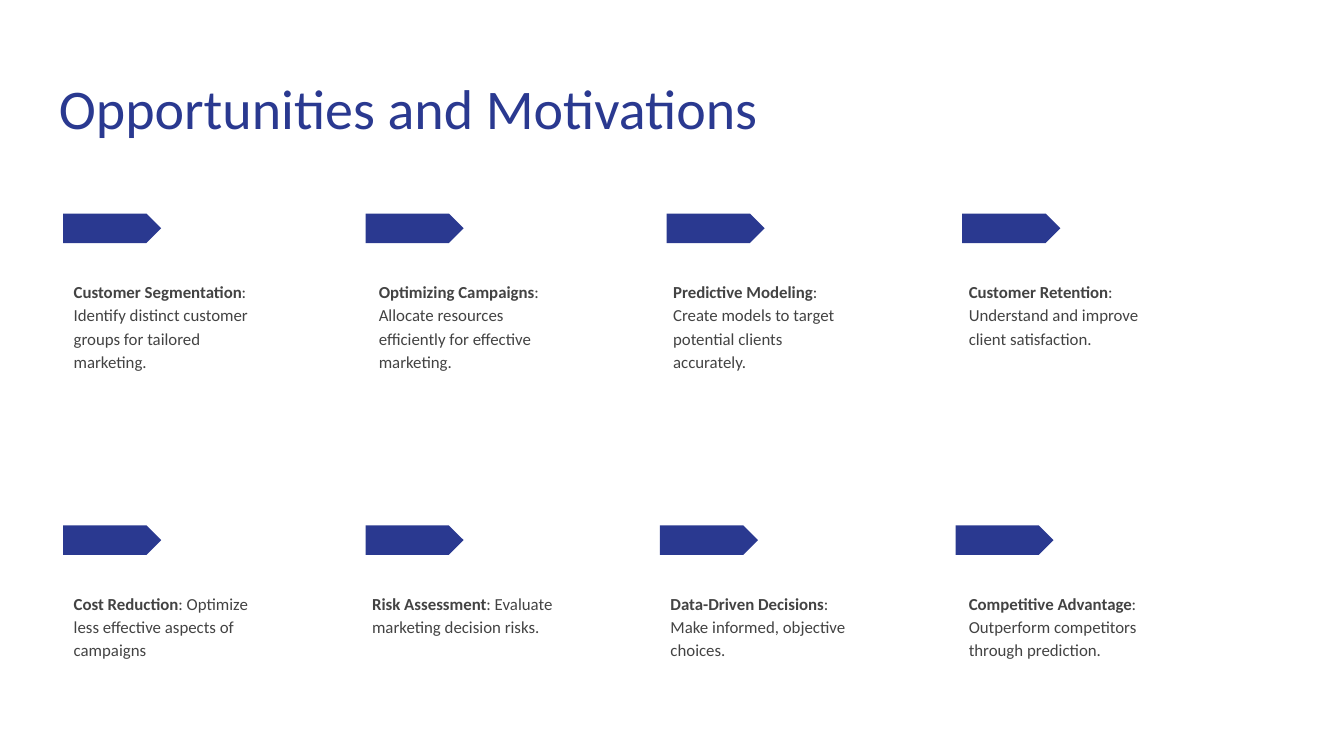
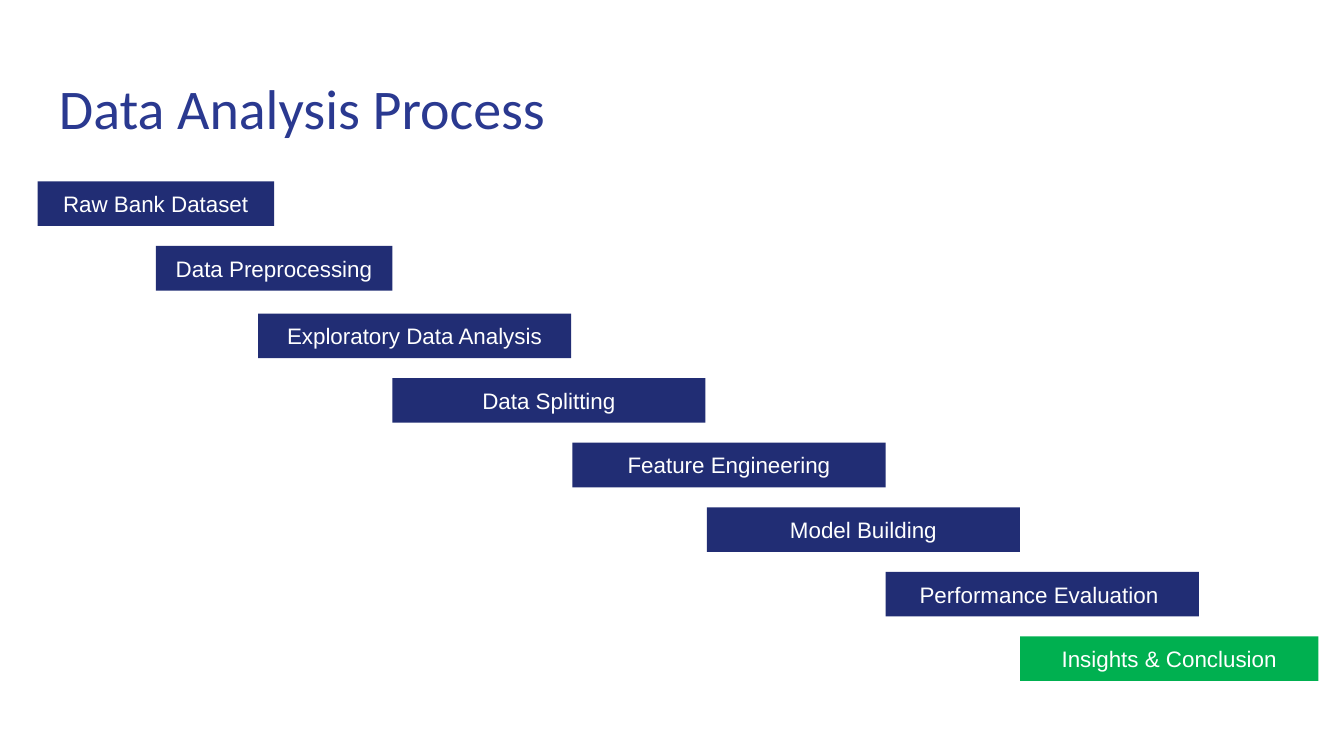
from dataclasses import dataclass

from pptx import Presentation
from pptx.dml.color import RGBColor
from pptx.enum.shapes import MSO_SHAPE
from pptx.enum.text import MSO_ANCHOR, PP_ALIGN
from pptx.shapes.autoshape import Shape
from pptx.slide import Slide
from pptx.text.text import TextFrame, _Paragraph
from pptx.util import Emu, Inches, Pt

PENTAGON = MSO_SHAPE.PENTAGON
RECTANGLE = MSO_SHAPE.RECTANGLE
MIDDLE = MSO_ANCHOR.MIDDLE
TOP = MSO_ANCHOR.TOP
CENTER = PP_ALIGN.CENTER

TITLE_BLUE = RGBColor(0x2A, 0x39, 0x90)
STEP_NAVY = RGBColor(0x21, 0x2D, 0x74)
RESULT_GREEN = RGBColor(0x00, 0xB0, 0x50)
BODY_GREY = RGBColor(0x43, 0x43, 0x43)
WHITE = RGBColor(0xFF, 0xFF, 0xFF)

HEADING_FONT = "Calibri"
STEP_FONT = "Arial"

SLIDE_WIDTH = Inches(10)
SLIDE_HEIGHT = Emu(SLIDE_WIDTH * 9 // 16)
INSET = Inches(0.1)

CARD_ROW_TOPS = (28.25, 69.5)
CARD_TEXT_DROP = 6.85
PREPARATION_TOP = 24
ANALYSIS_TOP = 24.4
PREPARATION_STEPS = 2
STEP_PITCH = 8.54
STEP_HEIGHT = 5.9


@dataclass(frozen=True)
class Area:
    """Left, top, width and height in percent of the slide."""

    left: float
    top: float
    width: float
    height: float

    def lengths(self) -> tuple[Emu, Emu, Emu, Emu]:
        return (
            Emu(round(SLIDE_WIDTH * self.left / 100)),
            Emu(round(SLIDE_HEIGHT * self.top / 100)),
            Emu(round(SLIDE_WIDTH * self.width / 100)),
            Emu(round(SLIDE_HEIGHT * self.height / 100)),
        )


@dataclass(frozen=True)
class Card:
    heading: str
    detail: str
    row: int
    arrow_left: float
    text_left: float
    text_width: float = 15.8


@dataclass(frozen=True)
class Step:
    label: str
    left: float
    width: float = 23.3
    color: RGBColor = STEP_NAVY


TITLE_AREA = Area(3.4, 8, 93.2, 11.7)

CARDS = (
    Card("Customer Segmentation",
         ": Identify distinct customer groups for tailored marketing.",
         0, 4.7, 4.5, 16.6),
    Card("Optimizing Campaigns",
         ": Allocate resources efficiently for effective marketing.",
         0, 27.2, 27.2),
    Card("Predictive Modeling",
         ": Create models to target potential clients accurately.",
         0, 49.6, 49.1),
    Card("Customer Retention",
         ": Understand and improve client satisfaction.",
         0, 71.6, 71.1),
    Card("Cost Reduction",
         ": Optimize less effective aspects of campaigns",
         1, 4.7, 4.5),
    Card("Risk Assessment",
         ": Evaluate marketing decision risks.",
         1, 27.2, 26.7),
    Card("Data-Driven Decisions",
         ": Make informed, objective choices.",
         1, 49.1, 48.9),
    Card("Competitive Advantage",
         ": Outperform competitors through prediction.",
         1, 71.1, 71.1),
)

STEPS = (
    Step("Raw Bank Dataset", 2.8, 17.6),
    Step("Data Preprocessing", 11.6, 17.6),
    Step("Exploratory Data Analysis", 19.2),
    Step("Data Splitting", 29.2),
    Step("Feature Engineering", 42.6),
    Step("Model Building", 52.6),
    Step("Performance Evaluation ", 65.9),
    Step("Insights & Conclusion", 75.9, 22.2, RESULT_GREEN),
)


def add_run(paragraph: _Paragraph, words: str, font: str, size: float,
            color: RGBColor, bold: bool = False) -> None:
    run = paragraph.add_run()
    run.text = words
    run.font.name = font
    run.font.size = Pt(size)
    run.font.bold = bold
    run.font.color.rgb = color


def add_text_area(slide: Slide, area: Area) -> TextFrame:
    frame = slide.shapes.add_textbox(*area.lengths()).text_frame
    frame.word_wrap = True
    frame.vertical_anchor = TOP
    frame.margin_left = frame.margin_right = INSET
    frame.margin_top = frame.margin_bottom = INSET
    return frame


def add_block(slide: Slide, outline: MSO_SHAPE, area: Area,
              color: RGBColor) -> Shape:
    block = slide.shapes.add_shape(outline, *area.lengths())
    block.shadow.inherit = False
    block.fill.solid()
    block.fill.fore_color.rgb = color
    block.line.fill.background()
    return block


def add_titled_slide(deck: Presentation, title: str) -> Slide:
    slide = deck.slides.add_slide(deck.slide_layouts[6])
    slide.background.fill.solid()
    slide.background.fill.fore_color.rgb = WHITE
    heading = add_text_area(slide, TITLE_AREA).paragraphs[0]
    add_run(heading, title, HEADING_FONT, 30, TITLE_BLUE)
    return slide


def draw_card(slide: Slide, card: Card) -> None:
    top = CARD_ROW_TOPS[card.row]
    add_block(slide, PENTAGON, Area(card.arrow_left, top, 7.3, 3.9), TITLE_BLUE)
    area = Area(card.text_left, top + CARD_TEXT_DROP, card.text_width, 16.4)
    motivation = add_text_area(slide, area).paragraphs[0]
    motivation.line_spacing = 1.15
    motivation.space_after = Pt(8)
    add_run(motivation, card.heading, HEADING_FONT, 9, BODY_GREY, bold=True)
    add_run(motivation, card.detail, HEADING_FONT, 9, BODY_GREY)


def draw_step(slide: Slide, index: int, step: Step) -> None:
    start = PREPARATION_TOP if index < PREPARATION_STEPS else ANALYSIS_TOP
    area = Area(step.left, start + index * STEP_PITCH, step.width, STEP_HEIGHT)
    frame = add_block(slide, RECTANGLE, area, step.color).text_frame
    frame.word_wrap = True
    frame.vertical_anchor = MIDDLE
    label = frame.paragraphs[0]
    label.alignment = CENTER
    add_run(label, step.label, STEP_FONT, 12, WHITE)


def main() -> None:
    deck = Presentation()
    deck.slide_width = SLIDE_WIDTH
    deck.slide_height = SLIDE_HEIGHT

    opportunities = add_titled_slide(deck, "Opportunities and Motivations")
    for card in CARDS:
        draw_card(opportunities, card)

    process = add_titled_slide(deck, "Data Analysis Process")
    for index, step in enumerate(STEPS):
        draw_step(process, index, step)

    deck.save("out.pptx")


if __name__ == "__main__":
    main()
